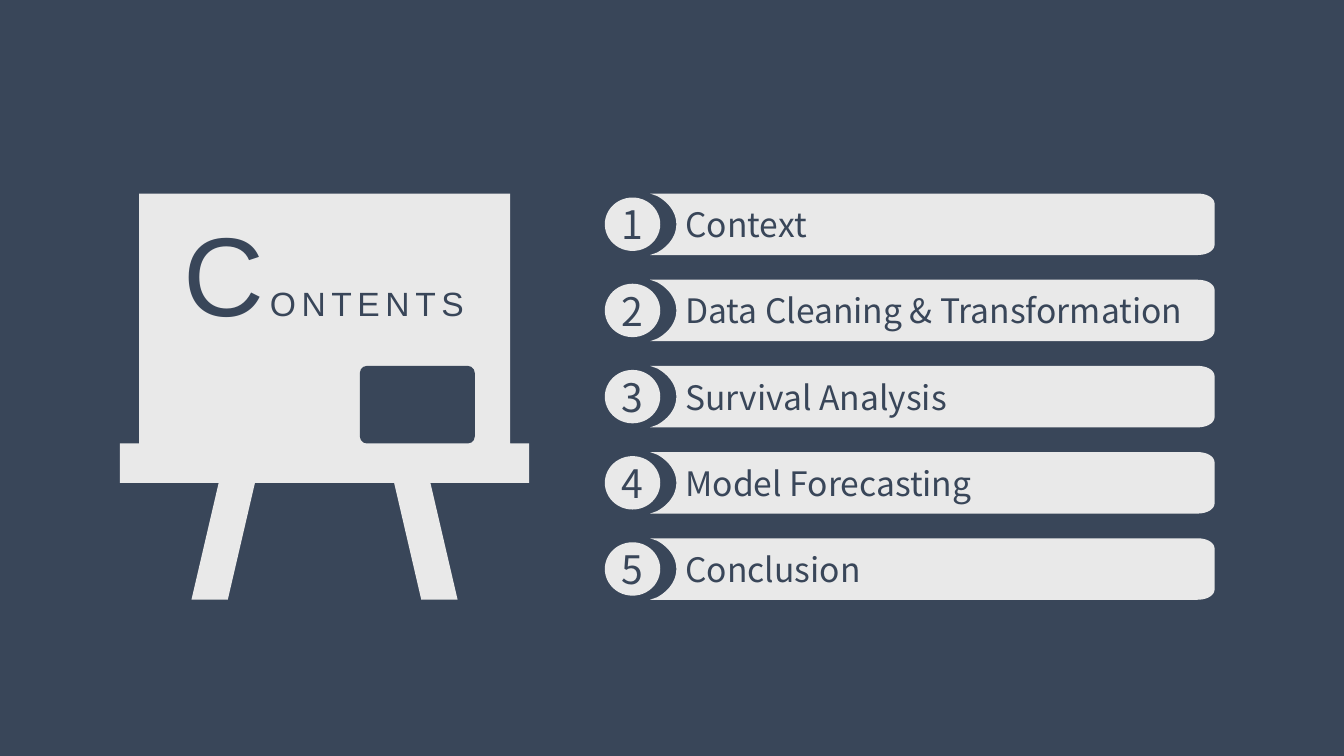
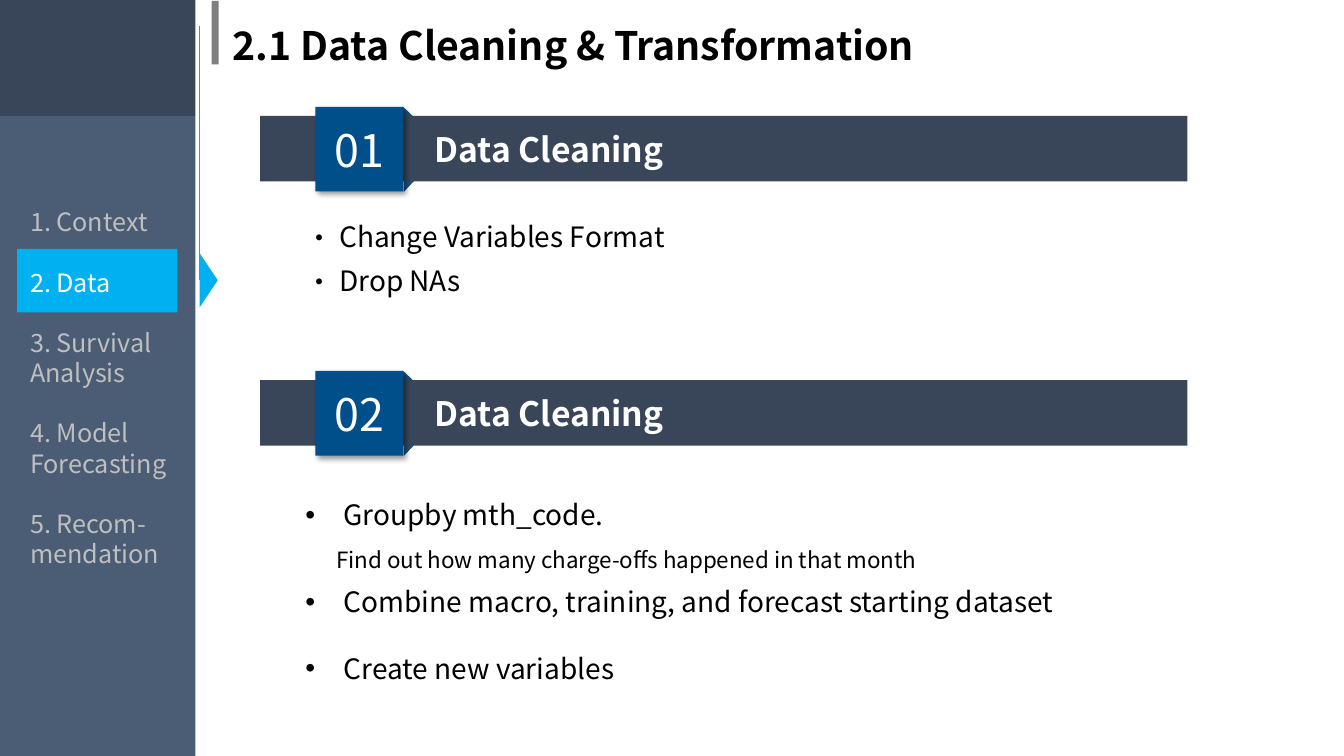
import dataclasses

import lxml.etree
import pptx
import pptx.dml.color
import pptx.enum.shapes
import pptx.enum.text
import pptx.oxml.ns
import pptx.util

SHAPE = pptx.enum.shapes.MSO_SHAPE
ALIGN = pptx.enum.text.PP_ALIGN
ANCHOR = pptx.enum.text.MSO_ANCHOR
qn = pptx.oxml.ns.qn

WIDTH = pptx.util.Inches(13.33)
HEIGHT = pptx.util.Inches(7.5)
COLUMNS, ROWS = 40, 30


@dataclasses.dataclass(frozen=True)
class Theme:
    font: str = "Noto Sans CJK SC"
    board_font: str = "Arial"
    navy: str = "394659"
    slate: str = "4B5C75"
    paper: str = "E9E9E9"
    white: str = "FFFFFF"
    black: str = "000000"
    muted: str = "BFBFBF"
    gray: str = "808080"
    accent: str = "00B0F0"
    badge: str = "004F8A"
    fold: str = "1F4E79"
    initial: int = 80
    badge_size: int = 32
    title: int = 28
    heading: int = 24
    body: int = 20
    agenda: int = 18
    detail: int = 16


THEME = Theme()
AGENDA = ["1. Context", "2. Data", "3. Survival Analysis",
          "4. Model Forecasting", "5. Recom-mendation"]
CHAPTERS = ["Context", "Data Cleaning & Transformation", "Survival Analysis",
            "Model Forecasting", "Conclusion"]


def col(count):
    return round(WIDTH * count / COLUMNS)


def row(count):
    return round(HEIGHT * count / ROWS)


def area(left, top, width, height):
    return col(left), row(top), col(width), row(height)


def rgb(value):
    return pptx.dml.color.RGBColor.from_string(value)


def apply(target, formats):
    for name, value in formats.items():
        setattr(target, name, value)


def paint(shape, color):
    shape.shadow.inherit = False
    shape.fill.solid()
    shape.fill.fore_color.rgb = rgb(color)
    shape.line.fill.background()
    return shape


def block(slide, kind, place, color):
    return paint(slide.shapes.add_shape(kind, *area(*place)), color)


def outline(slide, points, color):
    corners = [(col(x), row(y)) for x, y in points]
    builder = slide.shapes.build_freeform(*corners[0], scale=1.0)
    builder.add_line_segments(corners[1:], close=True)
    return paint(builder.convert_to_shape(), color)


def curve(start, pull, push, end, steps=12):
    points = []
    for step in range(steps + 1):
        t = step / steps
        weights = ((1 - t) ** 3, 3 * t * (1 - t) ** 2, 3 * t * t * (1 - t), t ** 3)
        points.append(tuple(sum(w * p[axis] for w, p in zip(weights, (start, pull, push, end)))
                            for axis in (0, 1)))
    return points


def frame(shape, left=0, top=0, **formats):
    apply(shape.text_frame, {
        "word_wrap": True, "vertical_anchor": ANCHOR.MIDDLE,
        "margin_left": left, "margin_right": 0, "margin_top": top, "margin_bottom": top,
        **formats})
    shape.text_frame.paragraphs[0].alignment = ALIGN.LEFT
    return shape.text_frame


def text_box(slide, place, **formats):
    inset = pptx.util.Inches(0.1)
    box = slide.shapes.add_textbox(*area(*place))
    return frame(box, inset, inset // 2,
                 **{"vertical_anchor": ANCHOR.TOP, "margin_right": inset, **formats})


def write(paragraph, text, size, color, font=THEME.font, bold=False):
    run = paragraph.add_run()
    run.text = text
    apply(run.font, {"size": pptx.util.Pt(size), "name": font, "bold": bold})
    run.font.color.rgb = rgb(color)
    properties = run.font._element
    east_asian = lxml.etree.SubElement(properties, qn("a:ea"))
    east_asian.set("typeface", font)
    return run


def next_paragraph(text_frame, index):
    return text_frame.paragraphs[0] if index == 0 else text_frame.add_paragraph()


def indent(paragraph, columns, bullet_font=None):
    properties = paragraph._p.get_or_add_pPr()
    properties.set("marL", str(col(columns)))
    if bullet_font:
        properties.set("indent", str(-col(columns)))
        lxml.etree.SubElement(properties, qn("a:buFont")).set("typeface", bullet_font)
        lxml.etree.SubElement(properties, qn("a:buChar")).set("char", "•")


def cast_shadow(shape):
    effects = shape._element.spPr.find(qn("a:effectLst"))
    shadow = lxml.etree.SubElement(effects, qn("a:outerShdw"))
    for name, value in {"blurRad": pptx.util.Pt(4), "dist": pptx.util.Pt(3),
                        "dir": 45 * 60000, "algn": "tl", "rotWithShape": 0}.items():
        shadow.set(name, str(value))
    tint = lxml.etree.SubElement(shadow, qn("a:srgbClr"))
    tint.set("val", THEME.black)
    lxml.etree.SubElement(tint, qn("a:alpha")).set("val", "40000")


def easel(slide):
    center = 9.66
    right = [(5.52, 7.68), (5.52, 17.6), (6.09, 17.6), (6.09, 19.16),
             (3.15, 19.16), (3.96, 23.8), (2.88, 23.8), (2.07, 19.16)]
    left = [(-x, y) for x, y in reversed(right)]
    outline(slide, [(center + x, y) for x, y in right + left], THEME.paper)
    eraser = block(slide, SHAPE.ROUNDED_RECTANGLE, (10.71, 14.52, 3.42, 3.08), THEME.navy)
    eraser.adjustments[0] = 0.09
    heading = text_box(slide, (5.16, 8.48, 9.36, 4.64), vertical_anchor=ANCHOR.MIDDLE).paragraphs[0]
    for letters, size in (("C", THEME.initial), ("ONTENTS", THEME.heading)):
        run = write(heading, letters, size, THEME.navy, THEME.board_font)
        run.font._element.set("spc", "400")


def chapter(slide, number, name):
    left, middle = 19.35, 8.9 + 3.42 * (number - 1)
    upper = (curve((0.78, 0), (0.78, -0.48), (0.54, -0.88), (0.21, -1.12))
             + [(0, -1.22)]
             + curve((16.29, -1.22), (16.59, -1.22), (16.8, -1.04), (16.8, -0.8)))
    lower = [(x, -y) for x, y in reversed(upper)]
    bar = outline(slide, [(left + x, middle + y) for x, y in upper + lower], THEME.paper)
    write(frame(bar, col(1.05)).paragraphs[0], name, THEME.heading, THEME.navy)
    disc = block(slide, SHAPE.OVAL, (18, middle - 1.06, 1.65, 2.12), THEME.paper)
    digit = frame(disc, word_wrap=False).paragraphs[0]
    digit.alignment = ALIGN.CENTER
    write(digit, str(number), THEME.title, THEME.navy)


def sidebar(slide, current):
    block(slide, SHAPE.RECTANGLE, (0, 4.6, 5.82, 25.4), THEME.slate)
    block(slide, SHAPE.RECTANGLE, (0, 0, 5.82, 4.6), THEME.navy)
    block(slide, SHAPE.RECTANGLE, (0.51, 9.88, 4.77, 2.52), THEME.accent)
    rule = slide.shapes.add_connector(pptx.enum.shapes.MSO_CONNECTOR.STRAIGHT,
                                      col(5.94), row(11.12), col(5.94), row(1.04))
    rule.line.color.rgb = rgb(THEME.gray)
    rule.line.width = pptx.util.Pt(0.5)
    lxml.etree.SubElement(rule._element.spPr, qn("a:effectLst"))
    pointer = block(slide, SHAPE.ISOSCELES_TRIANGLE, (5.4, 10.76, 1.62, 0.72), THEME.accent)
    pointer.rotation = 90
    entries = text_box(slide, (0.6, 8, 5.43, 17.36))
    for index, entry in enumerate(AGENDA):
        paragraph = next_paragraph(entries, index)
        paragraph.space_before = pptx.util.Pt(21.5 if index else 0)
        write(paragraph, entry, THEME.agenda, THEME.white if index == current else THEME.muted)


def page_title(slide, text):
    block(slide, SHAPE.RECTANGLE, (6.3, 0.04, 0.21, 2.52), THEME.gray)
    title = text_box(slide, (6.63, 0.65, 21.93, 2.28), word_wrap=False)
    write(title.paragraphs[0], text, THEME.title, THEME.black, bold=True)


def section(slide, number, name, top):
    block(slide, SHAPE.RIGHT_TRIANGLE, (12, top, 0.57, 0.72), THEME.fold)
    under = block(slide, SHAPE.RIGHT_TRIANGLE, (12, top + 2.64, 0.57, 0.72), THEME.fold)
    under.rotation = 90
    band = block(slide, SHAPE.RECTANGLE, (7.74, top + 0.36, 27.6, 2.6), THEME.navy)
    write(frame(band, col(5.19)).paragraphs[0], name, THEME.heading, THEME.white, bold=True)
    badge = block(slide, SHAPE.RECTANGLE, (9.39, top, 2.6, 3.36), THEME.badge)
    cast_shadow(badge)
    digits = frame(badge).paragraphs[0]
    digits.alignment = ALIGN.CENTER
    write(digits, f"{number:02}", THEME.badge_size, THEME.white)


def points_list(slide, place, items):
    lines = text_box(slide, place)
    for index, (text, size, columns, bullet_font, formats) in enumerate(items):
        paragraph = next_paragraph(lines, index)
        apply(paragraph, {"line_spacing": 1.3, **formats})
        indent(paragraph, columns, bullet_font)
        write(paragraph, text, size, THEME.black)


def contents_slide(slide):
    slide.background.fill.solid()
    slide.background.fill.fore_color.rgb = rgb(THEME.navy)
    easel(slide)
    for number, name in enumerate(CHAPTERS, 1):
        chapter(slide, number, name)


def data_slide(slide):
    sidebar(slide, current=1)
    page_title(slide, "2.1 Data Cleaning & Transformation")
    for number, top in ((1, 4.24), (2, 14.72)):
        section(slide, number, "Data Cleaning", top)
    points_list(slide, (8.79, 8.12, 24.03, 3.72), [
        (text, THEME.body, 1.01, THEME.font, {})
        for text in ("Change Variables Format", "Drop NAs")])
    bullet = (THEME.body, 1.14, THEME.board_font)
    points_list(slide, (8.79, 19.15, 25.86, 8.36), [
        ("Groupby mth_code.", *bullet, {}),
        ("Find out how many charge-offs happened in that month", THEME.detail, 0.93, None,
         {"space_before": pptx.util.Pt(5), "space_after": pptx.util.Pt(1)}),
        ("Combine macro, training, and forecast starting dataset", *bullet, {}),
        ("Create new variables", *bullet,
         {"line_spacing": 1.0, "space_before": pptx.util.Pt(23.5)})])


def main():
    deck = pptx.Presentation()
    apply(deck, {"slide_width": WIDTH, "slide_height": HEIGHT})
    blank = deck.slide_layouts[6]
    for build in (contents_slide, data_slide):
        build(deck.slides.add_slide(blank))
    deck.save("out.pptx")


if __name__ == "__main__":
    main()
